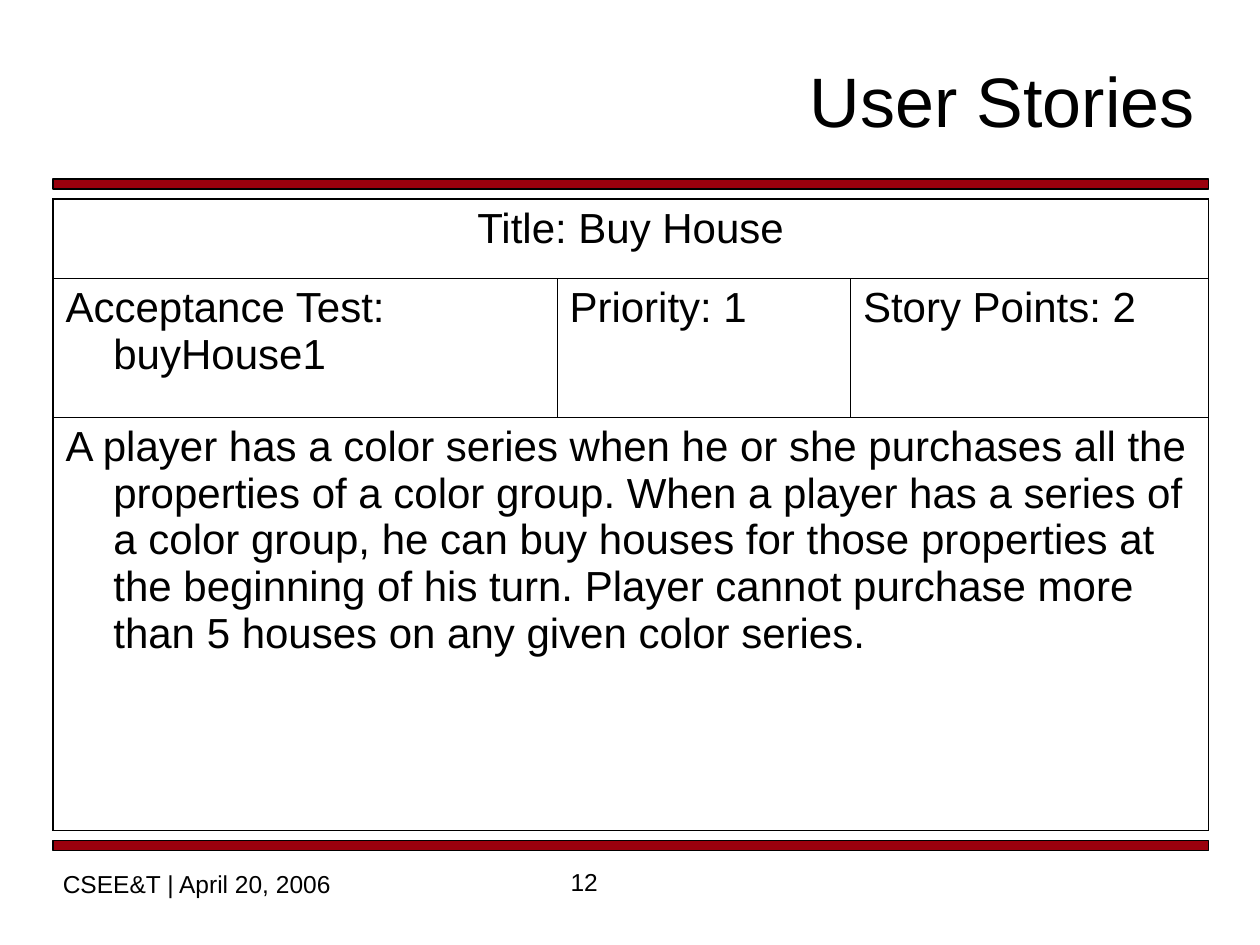
from typing import NamedTuple

import pptx
import pptx.dml.color
import pptx.enum.shapes
import pptx.enum.text
import pptx.oxml
import pptx.oxml.ns
import pptx.util
from pptx.util import Inches, Pt

ALIGN = pptx.enum.text.PP_ALIGN
ANCHOR = pptx.enum.text.MSO_ANCHOR
BLACK, RED = "000000", "9A000D"
LEFT, WIDTH = 0.42, 9.17
OUTER, INNER = 0.96, 0.45


class Label(NamedTuple):
    text: str
    left: float
    top: float
    width: float
    height: float
    size: int
    align: ALIGN = ALIGN.LEFT
    anchor: ANCHOR = ANCHOR.TOP


class StoryRow(NamedTuple):
    height: float
    texts: tuple[str, ...]  # a single text spans the whole row
    align: ALIGN = ALIGN.LEFT


RULE_TOPS = (6.67, 1.42)
LABELS = (
    Label("CSEE&T | April 20, 2006", 0.4, 6.85, 2.36, 0.34, 14),
    Label("12", 4.43, 6.83, 1.09, 0.34, 14),
    Label("User Stories", 2.58, 0.25, 7, 1.08, 40, ALIGN.RIGHT, ANCHOR.MIDDLE),
)
COLUMN_WIDTHS = (4, 2.33, 2.84)
STORY_ROWS = (
    StoryRow(0.63, ("Title: Buy House",), ALIGN.CENTER),
    StoryRow(1.1, ("Acceptance Test: buyHouse1", "Priority: 1", "Story Points: 2")),
    StoryRow(3.28, (
        "A player has a color series when he or she purchases all the properties "
        "of a color group. When a player has a series of a color group, he can buy "
        "houses for those properties at the beginning of his turn. Player cannot "
        "purchase more than 5 houses on any given color series.",
    )),
)


def rgb(value: str) -> pptx.dml.color.RGBColor:
    return pptx.dml.color.RGBColor.from_string(value)


def write(frame, text: str, size: int, align: ALIGN):
    para = frame.paragraphs[0]
    para.alignment = align
    span = para.add_run()
    span.text = text
    for name, value in {"name": "Arial", "size": Pt(size)}.items():
        setattr(span.font, name, value)
    span.font.color.rgb = rgb(BLACK)
    return para


def draw_rule(page, top: float) -> None:
    bar = page.shapes.add_shape(
        pptx.enum.shapes.MSO_SHAPE.RECTANGLE,
        Inches(LEFT), Inches(top), Inches(WIDTH), Inches(0.08))
    bar.shadow.inherit = False
    bar.fill.solid()
    bar.fill.fore_color.rgb = rgb(RED)
    bar.line.color.rgb = rgb(BLACK)
    bar.line.width = Pt(0.75)


def draw_label(page, label: Label) -> None:
    box = page.shapes.add_textbox(*map(Inches, label[1:5]))
    frame = box.text_frame
    for name, value in {"word_wrap": True, "vertical_anchor": label.anchor}.items():
        setattr(frame, name, value)
    write(frame, label.text, label.size, label.align)


def set_borders(cell, widths: dict[str, float]) -> None:
    """Line the cell's sides; widths are points, keyed L, R, T, B in that order."""
    properties = cell._tc.get_or_add_tcPr()
    for side, width in widths.items():
        properties.append(pptx.oxml.parse_xml(
            f'<a:ln{side} {pptx.oxml.ns.nsdecls("a")} w="{int(Pt(width))}">'
            f'<a:solidFill><a:srgbClr val="{BLACK}"/></a:solidFill></a:ln{side}>'))


def draw_story_card(page) -> None:
    last_row, last_column = len(STORY_ROWS) - 1, len(COLUMN_WIDTHS) - 1
    table = page.shapes.add_table(
        last_row + 1, last_column + 1,
        Inches(LEFT), Inches(1.58), Inches(WIDTH), Inches(5)).table
    for name in ("first_row", "horz_banding"):
        setattr(table, name, False)
    for column, width in zip(table.columns, COLUMN_WIDTHS):
        column.width = Inches(width)

    for r, row in enumerate(STORY_ROWS):
        table.rows[r].height = Inches(row.height)
        spans = len(row.texts) == 1
        for c in range(last_column + 1):
            cell = table.cell(r, c)
            set_borders(cell, {
                "L": OUTER if spans or c == 0 else INNER,
                "R": OUTER if spans or c == last_column else INNER,
                "T": OUTER if r == 0 else INNER,
                "B": OUTER if r == last_row else INNER,
            })
            cell.fill.background()
        if spans:
            table.cell(r, 0).merge(table.cell(r, last_column))
        for c, text in enumerate(row.texts):
            para = write(table.cell(r, c).text_frame, text, 24, row.align)
            indent = int(Inches(0.38))
            for name, value in {"marL": indent, "indent": -indent}.items():
                para._p.get_or_add_pPr().set(name, str(value))


def main() -> None:
    deck = pptx.Presentation()
    deck.slide_width, deck.slide_height = Inches(10), Inches(7.5)
    page = deck.slides.add_slide(deck.slide_layouts[6])
    for top in RULE_TOPS:
        draw_rule(page, top)
    for label in LABELS:
        draw_label(page, label)
    draw_story_card(page)
    deck.save("out.pptx")


if __name__ == "__main__":
    main()
